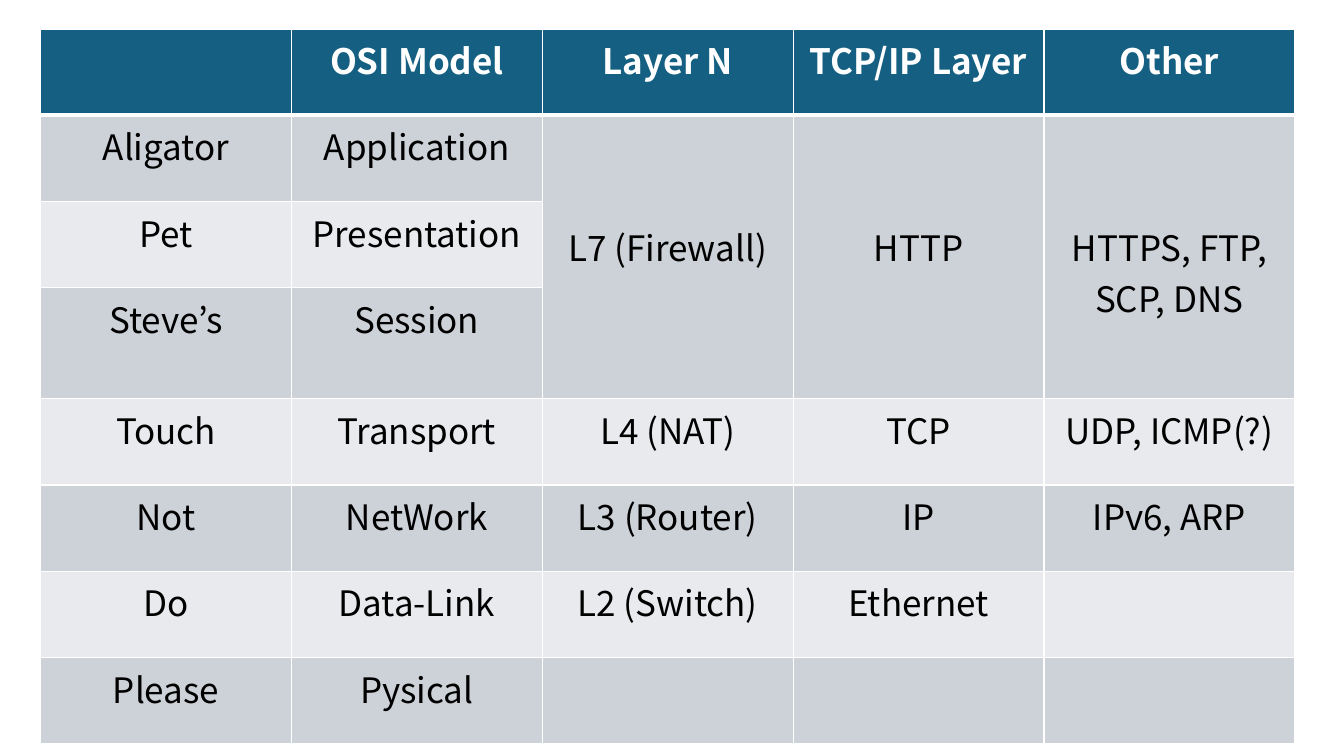
from pptx import Presentation
from pptx import util as u
from pptx.dml.color import RGBColor
from pptx.enum import text
from pptx.oxml import parse_xml
from pptx.oxml.ns import nsdecls

WHITE = RGBColor(0xFF, 0xFF, 0xFF)
BLACK = RGBColor(0, 0, 0)
HEADER_BLUE = RGBColor(0x15, 0x60, 0x82)
BAND_DARK = RGBColor(0xCC, 0xD2, 0xD8)
BAND_LIGHT = RGBColor(0xE8, 0xEA, 0xED)

# Layer table content, one list per row
LAYERS = [
    ["", "OSI Model", "Layer N", "TCP/IP Layer", "Other"],
    ["Aligator", "Application", "L7 (Firewall)", "HTTP", "HTTPS, FTP, SCP, DNS"],
    ["Pet", "Presentation", "", "", ""],
    ["Steve’s", "Session", "", "", ""],
    ["Touch", "Transport", "L4 (NAT)", "TCP", "UDP, ICMP(?)"],
    ["Not", "NetWork", "L3 (Router)", "IP", "IPv6, ARP"],
    ["Do", "Data-Link", "L2 (Switch)", "Ethernet", ""],
    ["Please", "Pysical", "", "", ""],
]
COLUMN_WIDTH = 179.2
ROW_HEIGHT = 61.65
SESSION_ROW, SESSION_HEIGHT = 3, 79.3
MERGED_COLUMNS = (2, 3, 4)
MERGED_TOP_MARGIN = 75.6


class SlideBuilder:
    font = "Noto Sans CJK KR"
    size = u.Pt(25)

    def __init__(self, page):
        self.page = page

    def table(self, left, top, rows):
        width = COLUMN_WIDTH * len(rows[0])
        height = ROW_HEIGHT * (len(rows) - 1) + SESSION_HEIGHT
        frame = self.page.shapes.add_table(
            len(rows), len(rows[0]), u.Pt(left), u.Pt(top), u.Pt(width), u.Pt(height))
        table = frame.table
        for column in table.columns:
            column.width = u.Pt(COLUMN_WIDTH)
        for index, row in enumerate(table.rows):
            row.height = u.Pt(SESSION_HEIGHT if index == SESSION_ROW else ROW_HEIGHT)
        for index, words in enumerate(rows):
            for column, word in enumerate(words):
                self.cell(table.cell(index, column), index, word)
        return table

    def cell(self, cell, row, word):
        # Borders come before the fill in the cell properties
        self.border(cell, "L", 1)
        self.border(cell, "R", 1)
        self.border(cell, "T", 3 if row == 1 else 1)
        self.border(cell, "B", 3 if row == 0 else 1)
        cell.fill.solid()
        if row == 0:
            cell.fill.fore_color.rgb = HEADER_BLUE
        else:
            cell.fill.fore_color.rgb = BAND_DARK if row % 2 else BAND_LIGHT
        if word:
            self.label(cell.text_frame, word, row == 0)

    def border(self, cell, side, points):
        properties = cell._tc.get_or_add_tcPr()
        properties.append(parse_xml(
            f'<a:ln{side} {nsdecls("a")} w="{u.Pt(points)}"><a:solidFill>'
            f'<a:srgbClr val="{WHITE}"/></a:solidFill></a:ln{side}>'))

    def label(self, frame, word, heading):
        frame.text = word
        para = frame.paragraphs[0]
        para.alignment = text.PP_ALIGN.CENTER
        for span in para.runs:
            span.font.name = self.font
            span.font.size = self.size
            span.font.bold = heading
            span.font.color.rgb = WHITE if heading else BLACK

    def merge_down(self, table, column, first, last):
        origin = table.cell(first, column)
        origin.merge(table.cell(last, column))
        origin.margin_top = u.Pt(MERGED_TOP_MARGIN)


def main():
    deck = Presentation()
    deck.slide_width, deck.slide_height = u.Pt(960), u.Pt(540)
    builder = SlideBuilder(deck.slides.add_slide(deck.slide_layouts[6]))

    # Network layers with their mnemonic
    layers = builder.table(29, 20.7, LAYERS)

    # The application layers share one cell per column
    for column in MERGED_COLUMNS:
        builder.merge_down(layers, column, 1, SESSION_ROW)

    deck.save("out.pptx")


if __name__ == "__main__":
    main()
